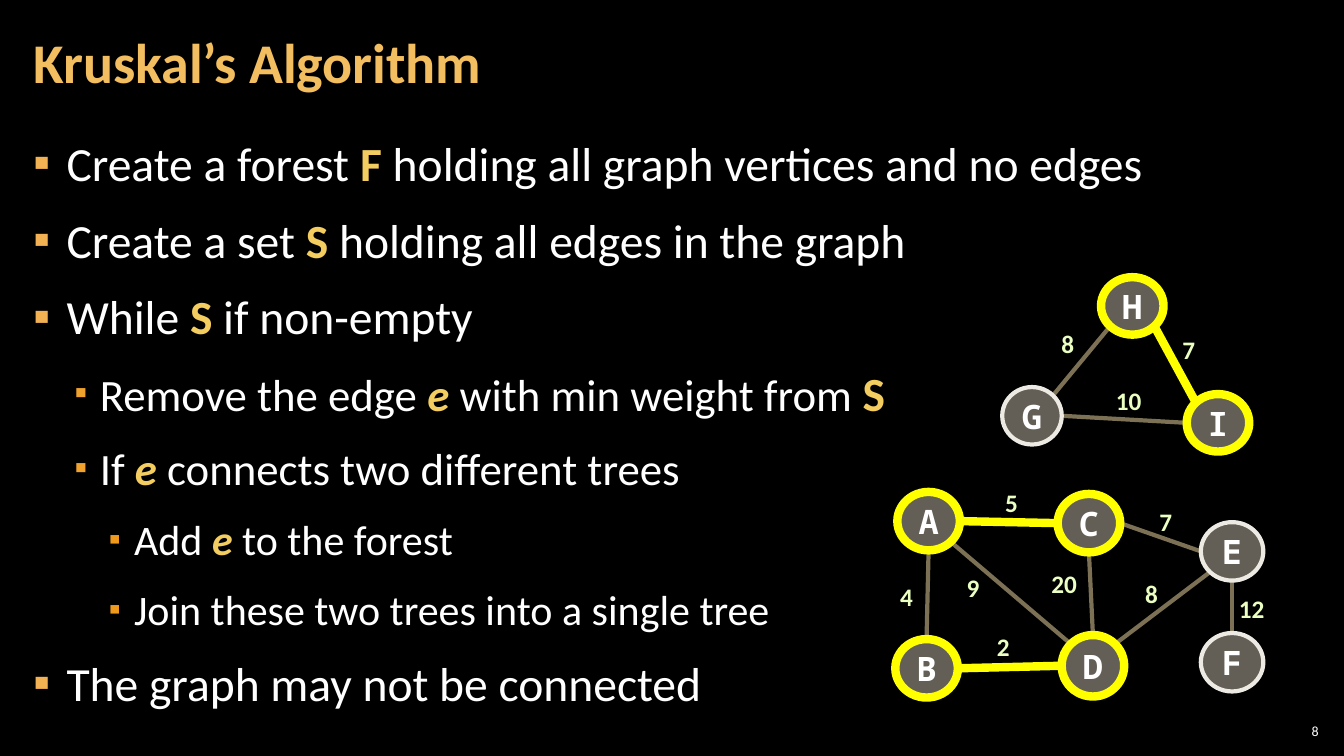
import math

from lxml import etree
from pptx import Presentation
from pptx.dml.color import RGBColor
from pptx.enum import shapes, text
from pptx.oxml.ns import qn
from pptx.util import Inches, Pt

COLORS = {
    "background": "000000", "text": "FFFFFF", "title": "F3BE60", "accent": "F3CD60",
    "node": "C7BFAC", "outline": "ECEAE3", "edge": "7C7154", "chosen": "FFFF00",
    "weight": "EBFFC2", "shadow": "000000",
}

# level: (size, left margin, indent, bullet colour, bullet size in percent)
LEVELS = [
    (34, 0.33, -0.33, "F2B254", 100),
    (32, 0.66, -0.25, "F0A22E", 80),
    (30, 1.0, -0.25, "EF9A1D", 80),
]

# level, then (words, style) pairs: b is bold accent, i is italic
STEPS = [
    (0, [("Create a forest ", ""), ("F", "b"), (" holding all graph vertices and no edges", "")]),
    (0, [("Create a set ", ""), ("S", "b"), (" holding all edges in the graph", "")]),
    (0, [("While ", ""), ("S", "b"), (" if non-empty", "")]),
    (1, [("Remove the edge ", ""), ("e", "bi"), (" with min weight from ", ""), ("S", "b")]),
    (1, [("If ", ""), ("e ", "bi"), ("connects two different trees", "")]),
    (2, [("Add ", ""), ("e", "bi"), (" to the forest", "")]),
    (2, [("Join these two trees into a single tree", "")]),
    (0, [("The graph may not be connected", "")]),
]

# name: (left, top, width, height)
NODES = {
    "A": (8.9, 4.88, 0.62, 0.58), "B": (8.88, 6.34, 0.62, 0.58),
    "C": (10.49, 4.9, 0.62, 0.58), "D": (10.53, 6.3, 0.62, 0.61),
    "E": (11.91, 5.18, 0.62, 0.58), "F": (11.91, 6.28, 0.62, 0.58),
    "I": (11.77, 3.91, 0.62, 0.57), "G": (9.94, 3.84, 0.59, 0.57),
    "H": (10.92, 2.75, 0.62, 0.57),
}

# start node, angle, end node, angle (degrees clockwise from the right),
# then the weight with its left, top and width
EDGES = [
    ("D", 315, "E", 135, "8", 11.26, 5.69, 0.33),
    ("D", 270, "C", 90, "20", 10.33, 5.59, 0.46),
    ("F", 270, "E", 90, "12", 12.19, 5.84, 0.46),
    ("D", 180, "B", 0, "2", 9.79, 6.21, 0.33),
    ("D", 225, "A", 45, "9", 9.49, 5.63, 0.33),
    ("C", 0, "E", 180, "7", 11.4, 4.97, 0.33),
    ("B", 270, "A", 90, "4", 8.83, 5.72, 0.33),
    ("A", 0, "C", 180, "5", 9.87, 4.79, 0.33),
    ("G", 0, "I", 180, "10", 10.97, 3.77, 0.46),
    ("G", 315, "H", 135, "8", 10.43, 3.21, 0.33),
    ("I", 225, "H", 45, "7", 11.63, 3.27, 0.33),
]
CHOSEN_EDGES = {"DB", "AC", "IH"}
SHADED_EDGES = CHOSEN_EDGES | {"FE"}
CHOSEN_NODES = set("".join(CHOSEN_EDGES))


def add_run(paragraph, words, size, color, bold=False, italic=False, font="Calibri"):
    run = paragraph.add_run()
    run.text = words
    run.font.name = font
    run.font.size = Pt(size)
    run.font.bold = bold
    run.font.italic = italic
    run.font.color.rgb = RGBColor.from_string(COLORS[color])


def rim_point(name, angle):
    """Return the point on a node's ellipse at the given angle."""
    left, top, width, height = NODES[name]
    turn = math.radians(angle)
    return (Inches(left + width / 2 * (1 + math.cos(turn))),
            Inches(top + height / 2 * (1 + math.sin(turn))))


presentation = Presentation()
presentation.slide_width = Inches(13.33)
presentation.slide_height = Inches(7.5)
slide = presentation.slides.add_slide(presentation.slide_layouts[1])
slide.background.fill.solid()
slide.background.fill.fore_color.rgb = RGBColor.from_string(COLORS["background"])

# Title and body
title, body = slide.shapes.title, slide.placeholders[1]
for placeholder, box, anchor in (
    (title, (0.21, 0.04, 10.47, 1.21), text.MSO_ANCHOR.MIDDLE),
    (body, (0.21, 1.26, 12.91, 6.09), text.MSO_ANCHOR.TOP),
):
    placeholder.left, placeholder.top, placeholder.width, placeholder.height = map(Inches, box)
    frame = placeholder.text_frame
    frame.word_wrap = True
    frame.auto_size = text.MSO_AUTO_SIZE.NONE
    frame.vertical_anchor = anchor
    frame.margin_left = frame.margin_right = Inches(0.12)
    frame.margin_top = frame.margin_bottom = Inches(0.04)

paragraph = title.text_frame.paragraphs[0]
paragraph.alignment = text.PP_ALIGN.LEFT
paragraph.line_spacing = 0.9
add_run(paragraph, "Kruskal’s Algorithm", 40, "title", bold=True)

for number, (level, parts) in enumerate(STEPS):
    size, margin, indent, bullet_color, bullet_size = LEVELS[level]
    paragraph = body.text_frame.add_paragraph() if number else body.text_frame.paragraphs[0]
    paragraph.level = level
    properties = paragraph._p.get_or_add_pPr()
    properties.set("marL", str(Inches(margin)))
    properties.set("indent", str(Inches(indent)))
    bullet = etree.SubElement(properties, qn("a:buClr"))
    etree.SubElement(bullet, qn("a:srgbClr"), val=bullet_color)
    etree.SubElement(properties, qn("a:buSzPct"), val=str(bullet_size * 1000))
    etree.SubElement(properties, qn("a:buFont"), typeface="Calibri")
    etree.SubElement(properties, qn("a:buChar"), char="▪")
    paragraph.line_spacing = 1.05
    paragraph.space_before = Pt(6 if number else 0)
    paragraph.space_after = Pt(6)
    for words, style in parts:
        add_run(paragraph, words, 34 if words == "S" else size,
                "accent" if style else "text", "b" in style, "i" in style)

# Slide number
number_box = slide.shapes.add_textbox(Inches(12.65), Inches(7.14), Inches(0.47), Inches(0.22))
frame = number_box.text_frame
frame.word_wrap = True
frame.vertical_anchor = text.MSO_ANCHOR.MIDDLE
frame.margin_left = frame.margin_right = frame.margin_top = frame.margin_bottom = Inches(0.04)
frame.paragraphs[0].alignment = text.PP_ALIGN.RIGHT
add_run(frame.paragraphs[0], "8", 10, "text")

# Edge weights, behind the edges
for *_, weight, left, top, width in EDGES:
    label = slide.shapes.add_textbox(Inches(left), Inches(top), Inches(width), Inches(0.4))
    label.text_frame.word_wrap = False
    label.text_frame.auto_size = text.MSO_AUTO_SIZE.SHAPE_TO_FIT_TEXT
    add_run(label.text_frame.paragraphs[0], weight, 18, "weight", bold=True)

# Graph edges
for start, start_angle, end, end_angle, *_ in EDGES:
    chosen = start + end in CHOSEN_EDGES
    edge = slide.shapes.add_connector(shapes.MSO_CONNECTOR.STRAIGHT,
                                      *rim_point(start, start_angle), *rim_point(end, end_angle))
    edge.line.color.rgb = RGBColor.from_string(COLORS["chosen" if chosen else "edge"])
    edge.line.width = Pt(6 if chosen else 3)
    effects = etree.SubElement(edge._element.spPr, qn("a:effectLst"))
    if start + end in SHADED_EDGES:
        shadow = etree.SubElement(effects, qn("a:outerShdw"), blurRad=str(Pt(5)), dist="0", dir="0")
        shadow_color = etree.SubElement(shadow, qn("a:srgbClr"), val=COLORS["shadow"])
        etree.SubElement(shadow_color, qn("a:alpha"), val="40000")

# Graph nodes
for name, box in NODES.items():
    chosen = name in CHOSEN_NODES
    node = slide.shapes.add_shape(shapes.MSO_SHAPE.OVAL, *map(Inches, box))
    node.shadow.inherit = False
    node.fill.solid()
    node.fill.fore_color.rgb = RGBColor.from_string(COLORS["node"])
    fill_color = node._element.spPr.find(qn("a:solidFill")).find(qn("a:srgbClr"))
    etree.SubElement(fill_color, qn("a:alpha"), val="50000")
    node.line.color.rgb = RGBColor.from_string(COLORS["chosen" if chosen else "outline"])
    node.line.width = Pt(6 if chosen else 3)
    frame = node.text_frame
    frame.word_wrap = False
    frame.vertical_anchor = text.MSO_ANCHOR.MIDDLE
    frame.paragraphs[0].alignment = text.PP_ALIGN.CENTER
    add_run(frame.paragraphs[0], name, 24, "text", bold=True, font="Noto Sans Mono")

presentation.save("out.pptx")
